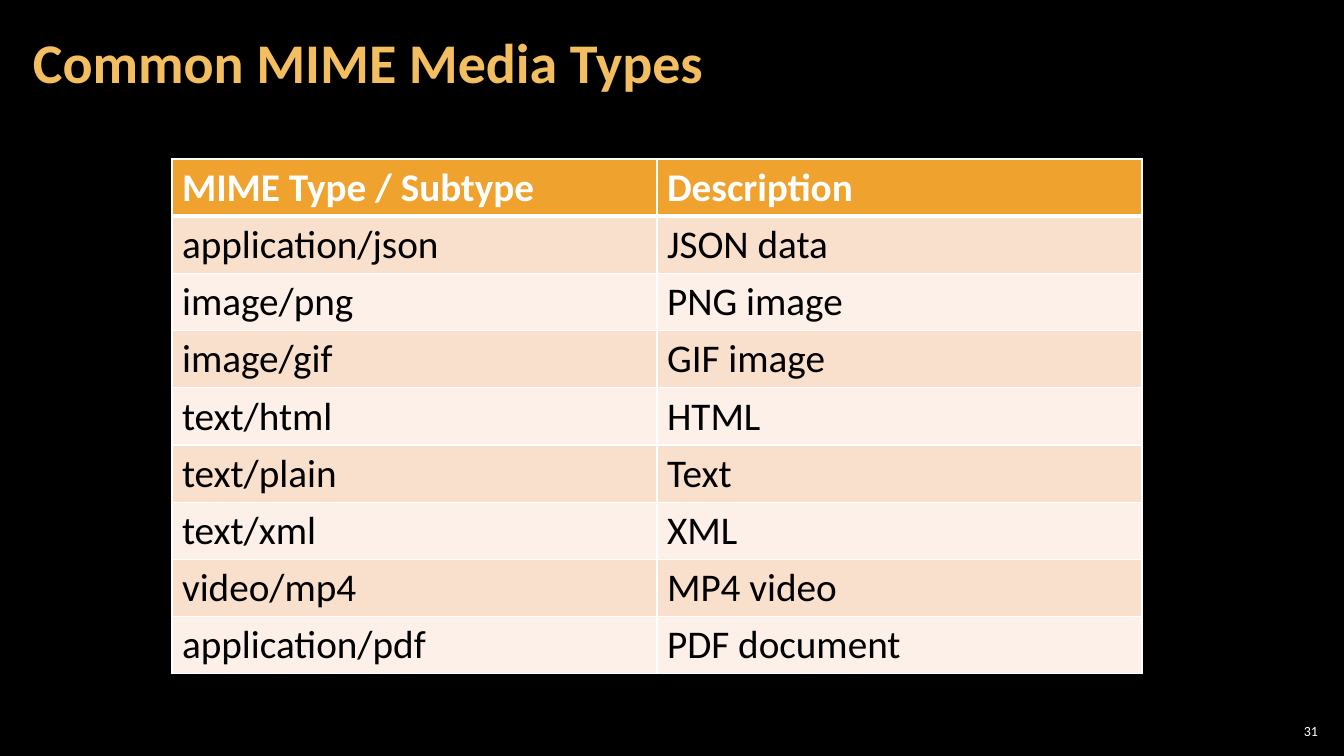
import pptx
import pptx.dml.color
import pptx.enum.text
import pptx.oxml
import pptx.oxml.ns
import pptx.util

EMU_PER_PX = 914400 / 100.8
COLORS = {
    "background": "000000",
    "title": "F3BE60",
    "header": "F0A22E",
    "odd_row": "F9E0CD",
    "even_row": "FCF0E8",
    "light": "FFFFFF",
    "dark": "000000",
}
MEDIA_TYPES = [
    ("MIME Type / Subtype", "Description"),
    ("application/json", "JSON data"),
    ("image/png", "PNG image"),
    ("image/gif", "GIF image"),
    ("text/html", "HTML"),
    ("text/plain", "Text"),
    ("text/xml", "XML"),
    ("video/mp4", "MP4 video"),
    ("application/pdf", "PDF document"),
]


def px(length):
    return pptx.util.Emu(round(length * EMU_PER_PX))


def rgb(name):
    return pptx.dml.color.RGBColor.from_string(COLORS[name])


class SlideBuilder:
    """Holds the text style and the current slide."""

    font_name = "Calibri"

    def __init__(self, slide):
        self.slide = slide

    def background(self, color):
        fill = self.slide.background.fill
        fill.solid()
        fill.fore_color.rgb = rgb(color)

    def run(self, paragraph, text, size, color, bold=False):
        run = paragraph.add_run()
        run.text = text
        run.font.name = self.font_name
        run.font.size = pptx.util.Pt(size)
        run.font.bold = bold
        run.font.color.rgb = rgb(color)

    def text(self, box, text, size, color, side_inset, align="LEFT", bold=False, spacing=1.0):
        shape = self.slide.shapes.add_textbox(*map(px, box))
        frame = shape.text_frame
        frame.word_wrap = True
        frame.vertical_anchor = pptx.enum.text.MSO_ANCHOR.MIDDLE
        frame.margin_left = frame.margin_right = px(side_inset)
        frame.margin_top = frame.margin_bottom = px(4)
        paragraph = frame.paragraphs[0]
        paragraph.alignment = pptx.enum.text.PP_ALIGN[align]
        paragraph.line_spacing = spacing
        self.run(paragraph, text, size, color, bold)

    def border(self, cell, side, width, color):
        properties = cell._tc.get_or_add_tcPr()
        properties.append(pptx.oxml.parse_xml(
            f'<a:ln{side} {pptx.oxml.ns.nsdecls("a")} w="{pptx.util.Pt(width)}">'
            f'<a:solidFill><a:srgbClr val="{COLORS[color]}"/></a:solidFill></a:ln{side}>'
        ))

    def cell(self, cell, text, row_index):
        is_header = row_index == 0
        widths = {"L": 1, "R": 1, "T": 3 if row_index == 1 else 1, "B": 3 if is_header else 1}
        for side, width in widths.items():
            self.border(cell, side, width, "light")
        cell.fill.solid()
        band = "odd_row" if row_index % 2 else "even_row"
        cell.fill.fore_color.rgb = rgb("header" if is_header else band)
        color = "light" if is_header else "dark"
        self.run(cell.text_frame.paragraphs[0], text, 28, color, is_header)

    def table(self, left, top, column_width, row_height, rows):
        size = len(rows), len(rows[0])
        box = left, top, column_width * size[1], row_height * size[0]
        table = self.slide.shapes.add_table(*size, *map(px, box)).table
        table.first_row = False
        table.horz_banding = False
        for row_index, row in enumerate(rows):
            for column_index, text in enumerate(row):
                self.cell(table.cell(row_index, column_index), text, row_index)


def main():
    presentation = pptx.Presentation()
    presentation.slide_width = px(1344)
    presentation.slide_height = px(756)
    builder = SlideBuilder(presentation.slides.add_slide(presentation.slide_layouts[6]))
    builder.background("background")
    builder.text((1275, 720, 47, 21), "31", 10, "light", 4, align="RIGHT")
    builder.table(172, 159, 485, 57, MEDIA_TYPES)
    builder.text((21, 4, 1055, 122), "Common MIME Media Types", 40, "title", 12,
                 bold=True, spacing=0.9)
    presentation.save("out.pptx")


if __name__ == "__main__":
    main()
